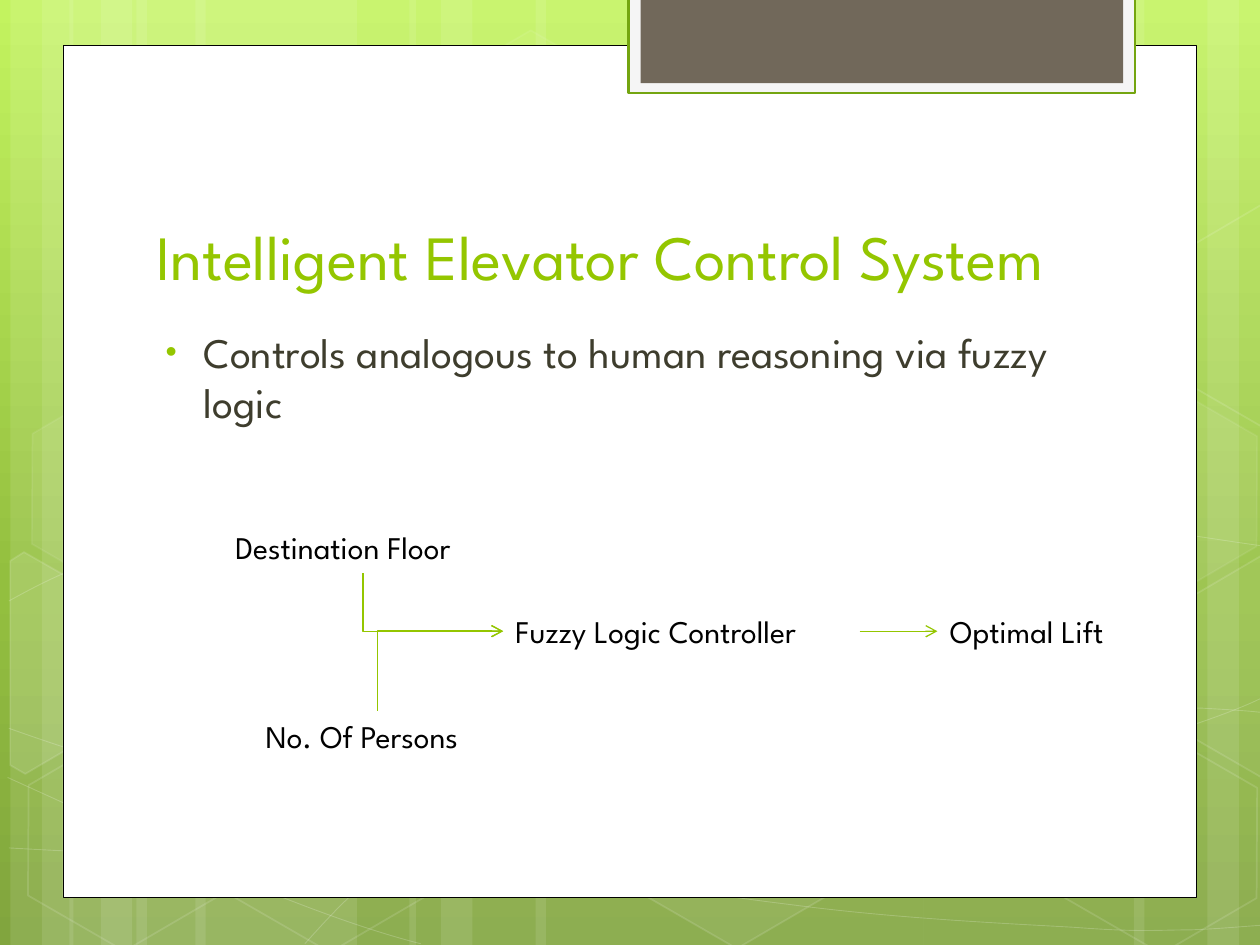
from copy import deepcopy
from math import cos, radians, sin

from lxml.etree import SubElement
from pptx import Presentation
from pptx.dml.color import RGBColor
from pptx.enum.shapes import MSO_CONNECTOR as Connector, MSO_SHAPE as Shape
from pptx.enum.text import MSO_ANCHOR as Anchor, MSO_AUTO_SIZE as AutoSize, PP_ALIGN as Align
from pptx.oxml.ns import qn
from pptx.util import Inches, Pt

COLUMNS, ROWS = 100, 75
WIDTH, HEIGHT = Inches(10), Inches(7.5)
FONT = "League Spartan"
GREEN, WHITE, BLACK = "94C600", "FFFFFF", "000000"
TILT = 30

STRIPS = [
    (10.83, 17.5), (0.83, 5), (3.33, 8.33), (15.5, 17.5), (5.5, 5), (8, 8.33),
    (73.33, 17.5), (95.83, 5), (90, 8.33), (42.5, 30.83), (32.5, 5), (35, 8.33),
]
CURVES = [
    [(0.7, 67.3), (6.1, 67.6), (11.5, 67.9), (19, 67.8), (26.5, 67.7), (35.8, 67.5), (45.8, 66.5),
     (55.8, 65.5), (70, 63.6), (79.2, 61.7), (88.3, 59.8), (97.7, 56.8), (100.7, 55.1)],
    [(0.7, 47.7), (3.6, 46.1), (6.5, 44.6), (12.1, 43.1), (17.8, 41.6), (25.9, 39.4), (34.7, 38.7),
     (43.6, 38), (54.4, 37.9), (65.4, 38.7), (76.4, 39.5), (94.7, 42.6), (100.7, 43.4)],
    [(0.6, 61.7), (12.7, 67.2), (24.7, 72.7), (33.4, 74.9)],
    [(0.7, 57.8), (3.8, 58.9), (7, 60), (12.8, 61.6), (18.6, 63.1), (27.3, 65.6), (35.7, 67.3),
     (44, 69), (54.5, 70.8), (62.8, 71.8), (71.1, 72.9), (80, 73.3), (85.3, 73.6),
     (90.5, 74), (91.9, 73.8), (94.5, 73.8), (97.1, 73.7), (98.9, 73.5), (100.7, 73.4)],
    [(24.2, 74.9), (26, 72.9), (27.8, 70.9), (30.2, 69.1), (32.6, 67.3), (36, 65.3), (38.8, 63.9),
     (41.6, 62.5), (43.3, 61.9), (47, 60.9), (50.6, 59.9), (57.3, 58.5), (60.8, 57.8),
     (64.4, 57.1), (64.9, 57.1), (68, 56.9), (71.1, 56.6), (76, 56.3), (79.4, 56.2),
     (82.9, 56.1), (88.6, 56.2), (88.6, 56.2), (90.8, 56.2), (93.1, 56.2), (95.3, 56.2),
     (97.1, 56.3), (98.8, 56.4), (99.7, 56.5), (100.6, 56.6), (100.3, 56.5), (100.6, 56.6)],
]
HEXAGONS = [
    (33.4, 3.6, 4, 8), (49.7, 58.9, 6, 12), (1.1, 59.1, 0, 12), (1.4, 31.2, 7, 8),
    (17.4, 59.2, 0, 12), (75.3, 45.3, 10, 12), (83.4, 59.3, 0, 12), (83.4, 31.4, 7, 8),
]
LEFT_CUT = [(0.8, 44.5), (1.9, 43.8), (9.6, 48.2), (9.5, 57), (2, 61.4), (0.8, 60.7)]
RIGHT_CUT = [(92.6, 48.5), (100.1, 44.1), (100.9, 44.6), (100.9, 61.3), (100.2, 61.7), (92.6, 57.3)]
LEFT_CENTER, RIGHT_CENTER = (3.6, 53.5), (98.5, 52)
CUT_RISE = 27.85


def color(hex_text):
    return RGBColor.from_string(hex_text)


def column(count):
    return round(WIDTH * count / COLUMNS)


def row(count):
    return round(HEIGHT * count / ROWS)


def place(left, top, width, height):
    return column(left), row(top), column(width), row(height)


def paint(fill, hex_text, opacity=100):
    if not opacity:
        fill.background()
        return
    fill.solid()
    fill.fore_color.rgb = color(hex_text)
    if opacity < 100:
        rgb = fill._xPr.find(".//" + qn("a:srgbClr"))
        SubElement(rgb, qn("a:alpha")).set("val", str(opacity * 1000))


def style(shape, fill, opacity=100, line=None, width=1, line_opacity=100):
    shape.shadow.inherit = False
    paint(shape.fill, fill, opacity)
    paint(shape.line.fill, line, line_opacity if line else 0)
    if line:
        shape.line.width = Pt(width)


def add_box(slide, area, fill, kind=Shape.RECTANGLE, **look):
    shape = slide.shapes.add_shape(kind, *place(*area))
    style(shape, fill, **look)
    return shape


def add_outline(slide, points, closed):
    corners = [(column(x), row(y)) for x, y in points]
    builder = slide.shapes.build_freeform(*corners[0])
    builder.add_line_segments(corners[1:], close=closed)
    return builder.convert_to_shape()


def add_curve(slide, knots):
    shape = add_outline(slide, knots, False)
    outline = shape._element.find(".//" + qn("a:path"))
    segments = iter(outline.findall(qn("a:lnTo")))
    for trio in zip(segments, segments, segments):
        curve = SubElement(outline, qn("a:cubicBezTo"))
        for segment in trio:
            curve.append(segment[0])
            outline.remove(segment)
    style(shape, WHITE, 0, WHITE, 0.5, 20)


def add_cut_hexagon(slide, points, center, opacity, rise=0):
    turn_cos, turn_sin = cos(radians(TILT)), sin(radians(TILT))
    offsets = [(x - center[0], y - center[1]) for x, y in points]
    upright = [(center[0] + x * turn_cos + y * turn_sin,
                center[1] - rise - x * turn_sin + y * turn_cos) for x, y in offsets]
    shape = add_outline(slide, upright, True)
    shape.rotation = TILT
    style(shape, WHITE, opacity, WHITE, 1, 12)


def add_background(slide):
    fill = slide.background.fill
    fill.gradient()
    fill.gradient_angle = 270
    stop_list = slide.element.find(".//" + qn("a:gsLst"))
    stop_list.insert(1, deepcopy(stop_list[0]))
    stops = ((0, "C3F35F"), (0.62, "93BF3F"), (1, "81A53E"))
    for stop, (position, hex_text) in zip(fill.gradient_stops, stops):
        stop.position = position
        stop.color.rgb = color(hex_text)


def add_decoration(slide):
    for left, width in STRIPS:
        add_box(slide, (left, 0, width, ROWS), WHITE, opacity=10)
    for knots in CURVES:
        add_curve(slide, knots)
    for left, top, opacity, line_opacity in HEXAGONS:
        hexagon = add_box(slide, (left, top, 17.5, 15.2), WHITE, Shape.HEXAGON,
                          opacity=opacity, line=WHITE, line_opacity=line_opacity)
        hexagon.adjustments[0] = 0.285
        hexagon.rotation = TILT
    add_cut_hexagon(slide, LEFT_CUT, LEFT_CENTER, 10)
    add_cut_hexagon(slide, RIGHT_CUT, RIGHT_CENTER, 4)
    add_cut_hexagon(slide, RIGHT_CUT, RIGHT_CENTER, 0, CUT_RISE)


def add_frame(slide):
    add_box(slide, (5, 3.6, 90, 67.65), WHITE, line=BLACK, width=0.5)
    add_box(slide, (49.88, -0.2, 40.2, 7.6), "F5F5F5", line="74A510", width=1.25)
    add_box(slide, (50.85, -0.2, 38.3, 6.8), "71685A")


def write(paragraph, text, size, hex_text):
    paragraph.alignment = Align.LEFT
    run = paragraph.add_run()
    run.text = text
    run.font.name = FONT
    run.font.size = Pt(size)
    run.font.color.rgb = color(hex_text)


def fill_placeholder(slide, placeholder, area, anchor, text, size, hex_text):
    placeholder.left, placeholder.top, placeholder.width, placeholder.height = place(*area)
    frame = placeholder.text_frame
    frame.auto_size = AutoSize.NONE
    frame.vertical_anchor = anchor
    write(frame.paragraphs[0], text, size, hex_text)
    slide.shapes._spTree.append(placeholder.element)
    return frame.paragraphs[0]


def add_bullet(paragraph):
    paragraph.space_before = Pt(4.8)
    properties = paragraph._p.get_or_add_pPr()
    properties.set("marL", str(Pt(27)))
    properties.set("indent", str(Pt(-21.6)))
    bullet_color = SubElement(properties, qn("a:buClr"))
    SubElement(bullet_color, qn("a:srgbClr")).set("val", GREEN)
    SubElement(properties, qn("a:buSzPct")).set("val", "76000")
    SubElement(properties, qn("a:buChar")).set("char", "•")


def add_label(slide, left, top, width, text):
    label = slide.shapes.add_textbox(*place(left, top, width, 4))
    label.text_frame.word_wrap = False
    label.text_frame.auto_size = AutoSize.SHAPE_TO_FIT_TEXT
    write(label.text_frame.paragraphs[0], text, 18, BLACK)
    return label


def finish_arrow(connector):
    connector.line.color.rgb = color(GREEN)
    connector.line.width = Pt(0.75)
    SubElement(connector.line._get_or_add_ln(), qn("a:tailEnd")).set("type", "arrow")
    SubElement(connector._element.spPr, qn("a:effectLst"))


def add_arrow(slide, source, target):
    connector = slide.shapes.add_connector(Connector.STRAIGHT, 0, 0, 0, 0)
    connector.begin_connect(source, 3)
    connector.end_connect(target, 1)
    finish_arrow(connector)


def add_elbow(slide, start, end):
    (x1, y1), (x2, y2) = start, end
    length, reach = abs(y2 - y1), abs(x2 - x1)
    left, top = (x1 + x2 - length) / 2, (y1 + y2 - reach) / 2
    connector = slide.shapes.add_connector(
        Connector.ELBOW, column(left), row(top), column(left + length), row(top + reach))
    properties = connector._element.spPr
    properties.find(qn("a:prstGeom")).set("prst", "bentConnector2")
    transform = properties.find(qn("a:xfrm"))
    transform.set("flipH", "1")
    if y2 > y1:
        transform.set("rot", str(270 * 60000))
    else:
        transform.set("rot", str(90 * 60000))
        transform.set("flipV", "1")
    finish_arrow(connector)


def main():
    presentation = Presentation()
    presentation.slide_width, presentation.slide_height = WIDTH, HEIGHT
    slide = presentation.slides.add_slide(presentation.slide_layouts[1])
    add_background(slide)
    add_decoration(slide)
    add_frame(slide)
    title, body = slide.shapes.title, slide.placeholders[1]
    fill_placeholder(slide, title, (11.4, 11.25, 76.8, 12.5), Anchor.BOTTOM,
                     "Intelligent Elevator Control System", 36, GREEN)
    add_bullet(fill_placeholder(slide, body, (11.4, 25.4, 74.1, 38.4), Anchor.TOP,
                                "Controls analogous to human reasoning via fuzzy logic", 24, "3E3D2D"))
    add_label(slide, 17.7, 41.4, 22.2, "Destination Floor")
    add_label(slide, 20.1, 56.4, 19.7, "No. Of Persons")
    controller = add_label(slide, 39.93, 48.1, 28.3, "Fuzzy Logic Controller")
    lift = add_label(slide, 74.4, 48.1, 15.9, "Optimal Lift")
    entry = (39.93, 50.1)
    add_elbow(slide, (28.8, 45.5), entry)
    add_elbow(slide, (29.95, 56.4), entry)
    add_arrow(slide, controller, lift)
    presentation.save("out.pptx")


if __name__ == "__main__":
    main()
